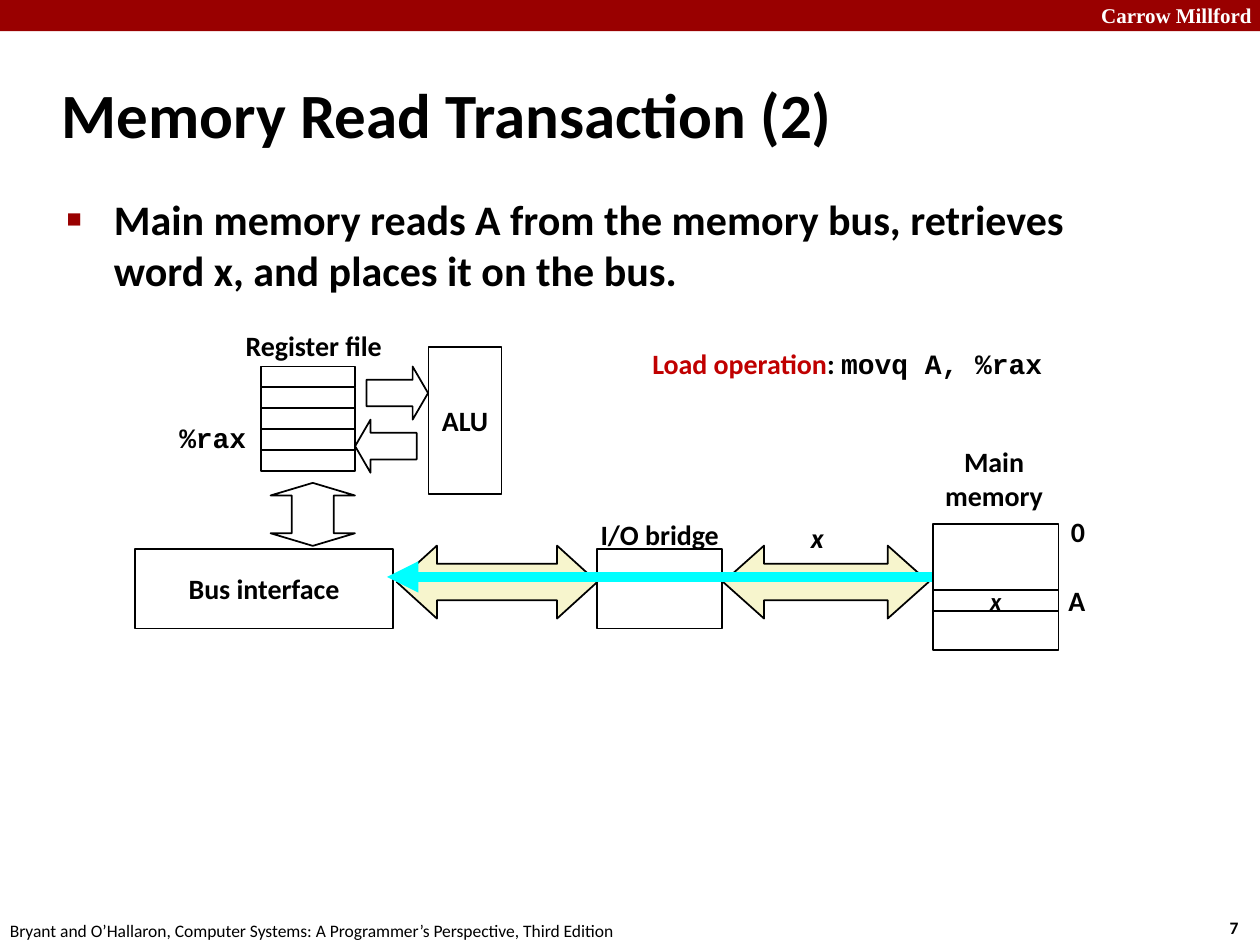
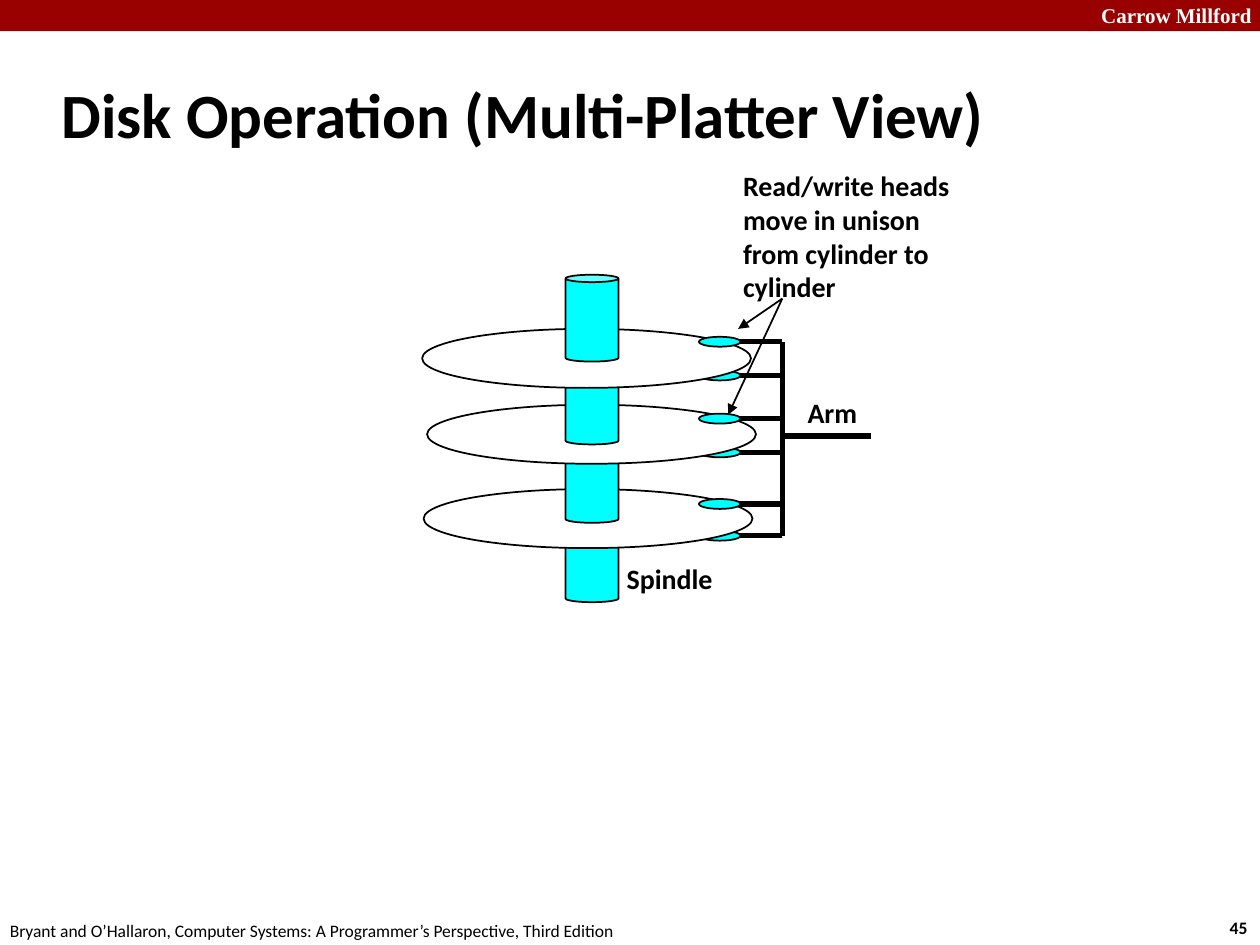
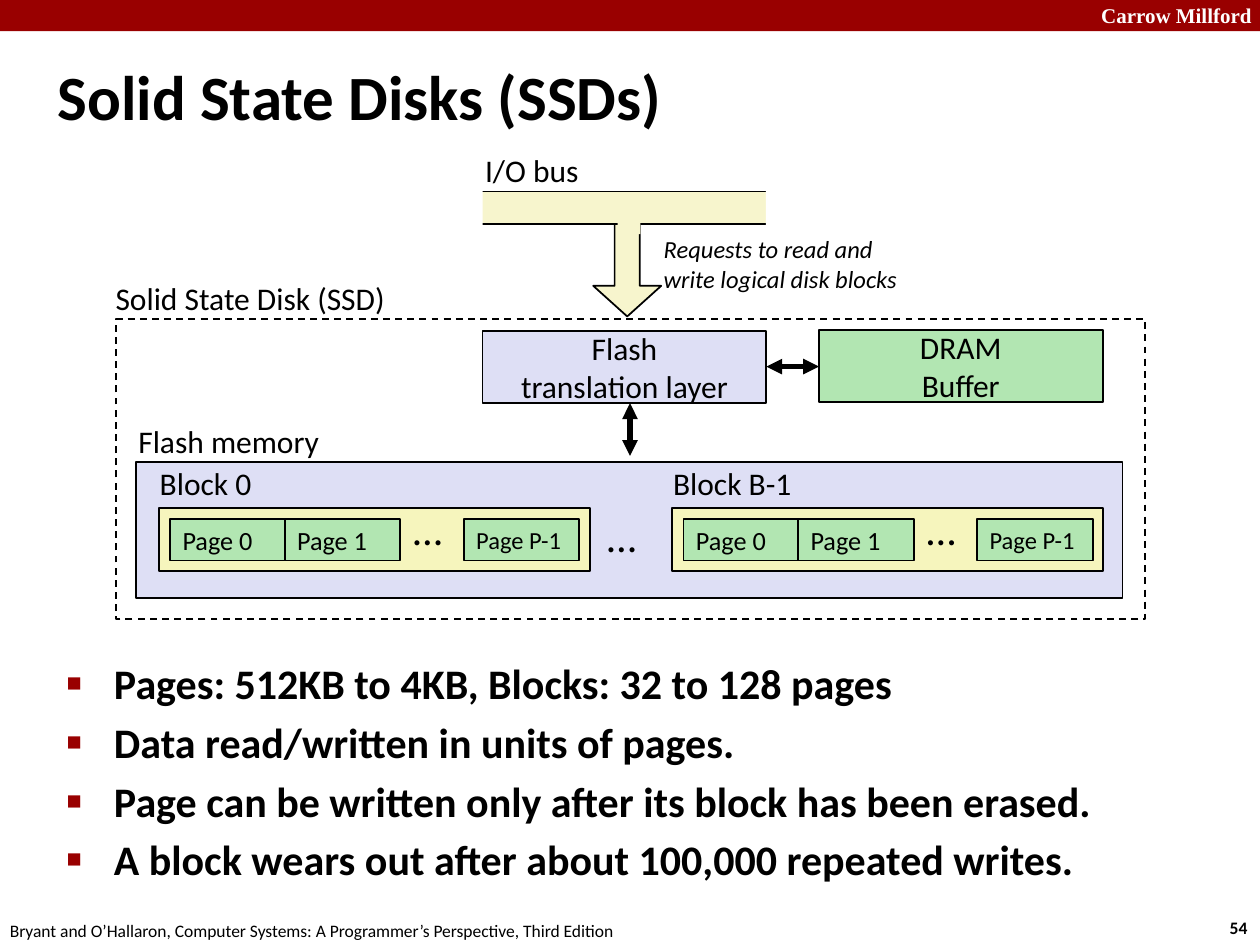
"""Builds three lecture slides on memory reads, disks and solid state disks."""
from dataclasses import dataclass
from typing import Any

from lxml import etree
from pptx import Presentation
from pptx import util as u
from pptx.dml.color import RGBColor
from pptx.enum import dml, shapes, text
from pptx.oxml.ns import qn

BLACK = RGBColor(0x00, 0x00, 0x00)
WHITE = RGBColor(0xFF, 0xFF, 0xFF)
CRIMSON = RGBColor(0x99, 0x00, 0x00)
RED = RGBColor(0xC0, 0x00, 0x00)
CYAN = RGBColor(0x00, 0xFF, 0xFF)
CREAM = RGBColor(0xF7, 0xF5, 0xCD)
YELLOW = RGBColor(0xF6, 0xF5, 0xBD)
LAVENDER = RGBColor(0xDE, 0xDF, 0xF5)
GREEN = RGBColor(0xB2, 0xE6, 0xB2)

SANS, MONO, SERIF = "Calibri", "Courier New", "Times New Roman"
KIND = shapes.MSO_SHAPE
LEFT, CENTER = text.PP_ALIGN.LEFT, text.PP_ALIGN.CENTER


def format_text(frame, size, bold=False, italic=False, font=SANS, color=BLACK, align=LEFT):
    """Give every paragraph and run of a frame one look."""
    for paragraph in frame.paragraphs:
        paragraph.alignment = align
        for run in paragraph.runs:
            run.font.size = u.Pt(size)
            run.font.bold = bold
            run.font.italic = italic
            run.font.name = font
            run.font.color.rgb = color


@dataclass
class Panel:
    """A region of a slide whose parts are placed from its top left corner, in cm."""

    slide: Any
    left: float = 0
    top: float = 0

    def at(self, left, top):
        """Turn a place in the panel into a place on the slide."""
        return u.Cm(self.left + left), u.Cm(self.top + top)

    def inner(self, left, top):
        """Return a panel that starts inside this one."""
        return Panel(self.slide, self.left + left, self.top + top)

    def shape(self, kind, left, top, width, height, fill=None, line=BLACK, adjust=()):
        """Add a flat preset shape."""
        shape = self.slide.shapes.add_shape(
            kind, *self.at(left, top), u.Cm(width), u.Cm(height))
        shape.shadow.inherit = False
        for index, value in enumerate(adjust):
            shape.adjustments[index] = value
        if fill is None:
            shape.fill.background()
        else:
            shape.fill.solid()
            shape.fill.fore_color.rgb = fill
        if line is None:
            shape.line.fill.background()
        else:
            shape.line.color.rgb = line
            shape.line.width = u.Pt(1)
        return shape

    def box(self, words, left, top, width, height, size, fill=None, align=CENTER, **look):
        """Add a rectangle with text in its middle."""
        shape = self.shape(KIND.RECTANGLE, left, top, width, height, fill)
        frame = shape.text_frame
        frame.text = words
        frame.word_wrap = False
        frame.vertical_anchor = text.MSO_ANCHOR.MIDDLE
        format_text(frame, size, align=align, **look)
        return shape

    def label(self, words, left, top, width, height=0.94, size=16, wrap=False, **look):
        """Add a text box that grows with its text."""
        label = self.slide.shapes.add_textbox(
            *self.at(left, top), u.Cm(width), u.Cm(height))
        frame = label.text_frame
        frame.text = words
        frame.word_wrap = wrap
        frame.auto_size = text.MSO_AUTO_SIZE.SHAPE_TO_FIT_TEXT
        format_text(frame, size, **look)
        return label

    def line(self, start, end, width, color=BLACK, arrows=()):
        """Add a straight line with arrowheads at the named ends."""
        line = self.slide.shapes.add_connector(
            shapes.MSO_CONNECTOR.STRAIGHT, *self.at(*start), *self.at(*end))
        line.line.color.rgb = color
        line.line.width = u.Pt(width)
        outline = line.element.find(".//" + qn("a:ln"))
        for arrow in arrows:
            etree.SubElement(outline, qn(f"a:{arrow}"), type="triangle")
        etree.SubElement(outline.getparent(), qn("a:effectLst"))


def draw_master(presentation, slide):
    """Put the band and the credit line on the slide master."""
    panel = Panel(slide)
    parts = [
        panel.shape(KIND.RECTANGLE, 0, 0, 25.4, 0.63, CRIMSON, None),
        panel.label("Carrow Millford", 21.95, -0.08, 3.63, 0.76, 12, True,
                    bold=True, font=SERIF, color=WHITE),
        panel.label("Bryant and O’Hallaron, Computer Systems: "
                    "A Programmer’s Perspective, Third Edition",
                    -0.05, 18.42, 12.9, 0.69, 10),
    ]
    for number, part in enumerate(parts, 100):
        part.element.find(".//" + qn("p:cNvPr")).set("id", str(number))
        presentation.slide_master.shapes.element.append(part.element)


def fill_placeholder(placeholder, words, box, size):
    """Place a placeholder and set its bold text."""
    placeholder.left, placeholder.top, placeholder.width, placeholder.height = map(u.Cm, box)
    frame = placeholder.text_frame
    frame.text = words
    frame.word_wrap = True
    frame.auto_size = text.MSO_AUTO_SIZE.NONE
    format_text(frame, size, bold=True)


def add_slide(presentation, layout, number, title, left=0.99, top=1.22):
    """Add a slide with its title and number."""
    slide = presentation.slides.add_slide(presentation.slide_layouts[layout])
    fill_placeholder(slide.shapes.title, title, (left, top, 21.08, 2.11), 36)
    slide.shapes.title.text_frame.vertical_anchor = text.MSO_ANCHOR.MIDDLE
    Panel(slide).label(str(number), 24.54, 18.36, 0.94, 0.69, 10, bold=True)
    return slide


def fill_body(slide, words, top, height):
    """Fill the body placeholder with a list marked by crimson squares."""
    body = slide.placeholders[1]
    fill_placeholder(body, words, (1.09, top, 21.95, height), 24)
    for paragraph in body.element.iter(qn("a:p")):
        properties = paragraph.get_or_add_pPr()
        color = etree.SubElement(properties, qn("a:buClr"))
        etree.SubElement(color, qn("a:srgbClr"), val=str(CRIMSON))
        etree.SubElement(properties, qn("a:buSzPct"), val="60000")
        etree.SubElement(properties, qn("a:buChar"), char="■")


def draw_processor(panel):
    """Draw the register file, the ALU and the bus interface."""
    for row in range(5):
        panel.shape(KIND.RECTANGLE, 2.54, 0.89 + 0.42 * row, 1.9, 0.42)
    panel.shape(KIND.RIGHT_ARROW, 4.67, 0.89, 1.24, 1.07, adjust=(0.5, 0.29))
    panel.shape(KIND.LEFT_ARROW, 4.44, 1.96, 1.24, 1.07, adjust=(0.5, 0.29))
    register_link = panel.shape(
        KIND.LEFT_RIGHT_ARROW, 2.95, 3.02, 1.27, 1.7, adjust=(0.5, 0.2))
    register_link.rotation = 90
    panel.box("ALU", 5.92, 0.49, 1.47, 2.97, 16, bold=True)
    panel.box("Bus interface", 0, 4.57, 5.21, 1.6, 16, WHITE, bold=True)
    panel.label("Register file", 1.98, 0, 3.3, bold=True)
    panel.label("%rax", 0.63, 1.86, 1.88, bold=True, font=MONO, align=CENTER)


def draw_buses(panel):
    """Draw the system bus, the bridge and the memory bus with the moving word."""
    panel.shape(KIND.LEFT_RIGHT_ARROW, 0, 0.69, 4.04, 1.47, CREAM, adjust=(0.5, 0.55))
    panel.shape(KIND.LEFT_RIGHT_ARROW, 6.58, 0.69, 4.14, 1.47, CREAM, adjust=(0.5, 0.56))
    panel.shape(KIND.RECTANGLE, 4.04, 0.76, 2.51, 1.6)
    panel.line((10.8, 1.32), (-0.2, 1.32), 6, CYAN, ["tailEnd"])
    panel.label("x", 8.08, 0.05, 0.79, bold=True, italic=True, align=CENTER)
    panel.label("I/O bridge", 3.84, 0, 2.92, bold=True, align=CENTER)


def draw_memory(panel):
    """Draw main memory with word x at address A."""
    panel.label("Main memory", 0, 0, 3.66, 1.63, wrap=True, bold=True, align=CENTER)
    panel.shape(KIND.RECTANGLE, 0.6, 1.73, 2.53, 2.54)
    panel.box("x", 0.6, 3.05, 2.53, 0.43, 14, bold=True, italic=True)
    panel.label("0", 3.13, 1.4, 0.81, bold=True)
    panel.label("A", 3.08, 2.79, 0.86, bold=True)


def draw_operation(panel):
    """Write the load instruction."""
    label = panel.label("Load operation", 0, 0, 8.48)
    paragraph = label.text_frame.paragraphs[0]
    for words in (": ", "movq A, %rax"):
        paragraph.add_run().text = words
    format_text(label.text_frame, 16, bold=True)
    paragraph.runs[0].font.color.rgb = RED
    paragraph.runs[2].font.name = MONO


def draw_head(panel, height):
    """Draw one read/write head and the rod that holds it."""
    panel.line((7.26, height), (5.99, height), 3)
    panel.shape(KIND.OVAL, 5.58, height - 0.1, 0.84, 0.2, CYAN)


def draw_disk(panel):
    """Draw the platters on their spindle, with the heads on the arm."""
    platters = [(0, 1.09), (0.1, 2.62), (0.03, 4.32)]
    spindle_tops = [0, 1.67, 3.25, 4.85]
    for height in (2.03, 3.58, 5.26):
        draw_head(panel, height)
    for spindle_top, platter in zip(reversed(spindle_tops), [*reversed(platters), None]):
        panel.shape(KIND.CAN, 2.89, spindle_top, 1.07, 1.75, CYAN, adjust=[0.14])
        if platter:
            panel.shape(KIND.OVAL, *platter, 6.63, 1.19, WHITE)
    for height in (1.35, 2.9, 4.62):
        draw_head(panel, height)
    panel.line((7.26, 1.35), (7.26, 5.26), 3)
    panel.line((7.26, 3.25), (9.04, 3.25), 3)
    panel.label("Arm", 7.52, 2.31, 1.55, bold=True)
    panel.label("Spindle", 3.86, 5.66, 2.26, bold=True, align=CENTER)


def draw_head_note(panel):
    """Write the note on the heads and point at two of them."""
    panel.label("Read/write heads\nmove in unison\nfrom cylinder to cylinder",
                0, 0, 6, 3, wrap=True, bold=True)
    for target in ((0.15, 3.35), (-0.05, 5.08)):
        panel.line((1.04, 2.74), target, 1, arrows=["tailEnd"])


def draw_io_bus(panel):
    """Draw the I/O bus, open at both ends, and the arrow into the disk."""
    panel.shape(KIND.DOWN_ARROW, 3.5, 1.55, 1.37, 1.91, CREAM, adjust=(0.37, 0.45))
    panel.shape(KIND.RECTANGLE, 1.07, 0.94, 6.15, 0.66, CREAM)
    panel.shape(KIND.RECTANGLE, 3.99, 1.37, 0.46, 0.43, CREAM, None)
    for cover_left in (0, 6.98):
        panel.shape(KIND.RECTANGLE, cover_left, 0.4, 1.27, 1.4, WHITE, None)
    panel.label("I/O bus", 1.07, 0, 2.41, 1.02, 18)
    panel.label("Requests to read and\nwrite logical disk blocks",
                4.67, 1.68, 5.92, 1.45, 14, True, italic=True)


def draw_block(panel, name):
    """Draw one flash block with its pages."""
    panel.label(name, 0, 0, 3, 1.02, 18)
    panel.shape(KIND.RECTANGLE, 0.23, 1.02, 8.69, 1.27, YELLOW)
    for page, left, size in (("Page 0", 0.46, 15), ("Page 1", 2.77, 15), ("Page P-1", 6.38, 14)):
        panel.box(page, left, 1.24, 2.33, 0.84, size, GREEN, LEFT)
    panel.label("…", 5.11, 0.81, 1.12, 1.27, 24)


def draw_ssd(panel):
    """Draw the solid state disk with its controller, buffer and flash memory."""
    outline = panel.shape(KIND.RECTANGLE, 0.26, 0.92, 20.75, 6.05)
    outline.line.dash_style = dml.MSO_LINE.DASH
    panel.shape(KIND.RECTANGLE, 0.66, 3.81, 19.89, 2.74, LAVENDER)
    panel.box("Flash\ntranslation layer", 7.65, 1.17, 5.72, 1.45, 18, LAVENDER)
    panel.box("DRAM\nBuffer", 14.43, 1.15, 5.72, 1.45, 18, GREEN)
    for start, end in (((10.62, 2.62), (10.62, 3.68)), ((14.43, 1.88), (13.37, 1.88))):
        panel.line(start, end, 3, arrows=["headEnd", "tailEnd"])
    panel.label("Solid State Disk (SSD)", 0, 0, 6.02, 1.02, 18)
    panel.label("Flash memory", 0.46, 2.87, 4.19, 1.02, 18)
    for index, name in enumerate(("Block 0", "Block B-1")):
        draw_block(panel.inner(0.89 + 10.35 * index, 3.71), name)
    panel.label("…", 9.91, 4.65, 1.12, 1.27, 24)


def build_memory_read(presentation):
    """Build the slide on the memory read transaction."""
    slide = add_slide(presentation, 1, 7, "Memory Read Transaction (2)")
    draw_master(presentation, slide)
    fill_body(slide, "Main memory reads A from the memory bus, retrieves word x, "
                     "and places it on the bus.", 3.78, 13.82)
    draw_processor(Panel(slide, 2.72, 6.5))
    draw_buses(Panel(slide, 8, 10.31))
    draw_memory(Panel(slide, 18.21, 8.84))
    draw_operation(Panel(slide, 12.9, 6.86))


def build_disk_operation(presentation):
    """Build the slide on the multi-platter disk."""
    slide = add_slide(presentation, 5, 45, "Disk Operation (Multi-Platter View)")
    draw_disk(Panel(slide, 8.51, 5.54))
    draw_head_note(Panel(slide, 14.73, 3.28))


def build_solid_state(presentation):
    """Build the slide on solid state disks."""
    slide = add_slide(presentation, 1, 54, "Solid State Disks (SSDs)", 0.91, 0.86)
    fill_body(slide, "\n".join([
        "Pages: 512KB to 4KB, Blocks: 32 to 128 pages",
        "Data read/written in units of pages.",
        "Page can be written only after its block has been erased.",
        "A block wears out after about 100,000 repeated writes.",
    ]), 13.13, 5.28)
    draw_io_bus(Panel(slide, 8.46, 2.92))
    draw_ssd(Panel(slide, 2.08, 5.51))


def main():
    """Build and save the presentation."""
    presentation = Presentation()
    presentation.slide_width, presentation.slide_height = u.Cm(25.4), u.Cm(19.05)
    build_memory_read(presentation)
    build_disk_operation(presentation)
    build_solid_state(presentation)
    presentation.save("out.pptx")


if __name__ == "__main__":
    main()
